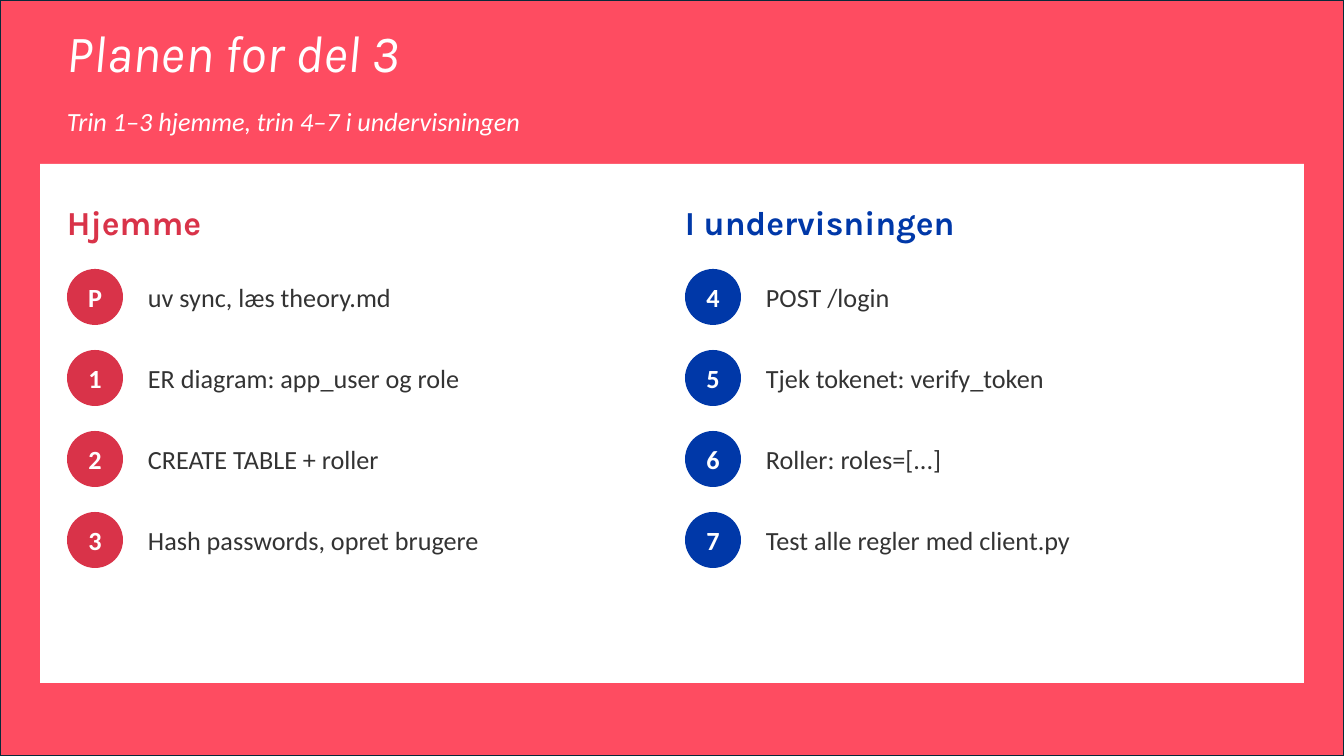
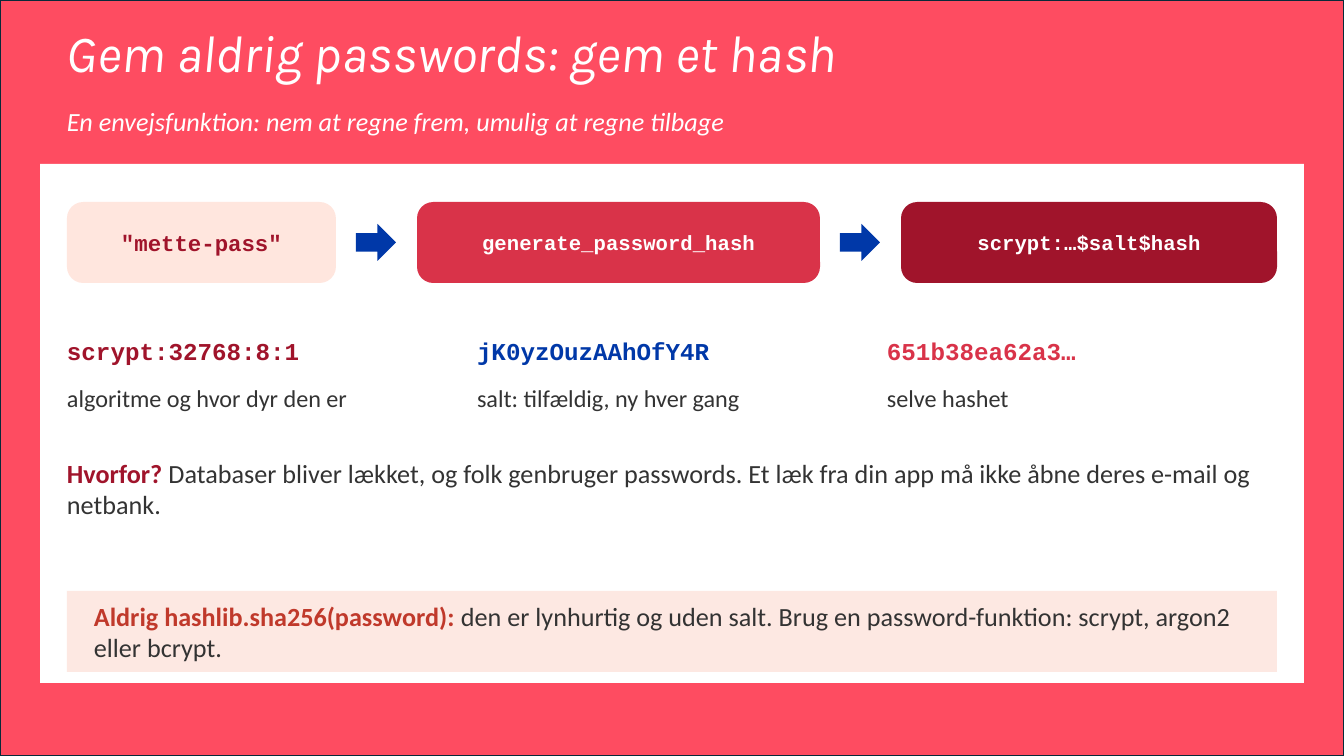
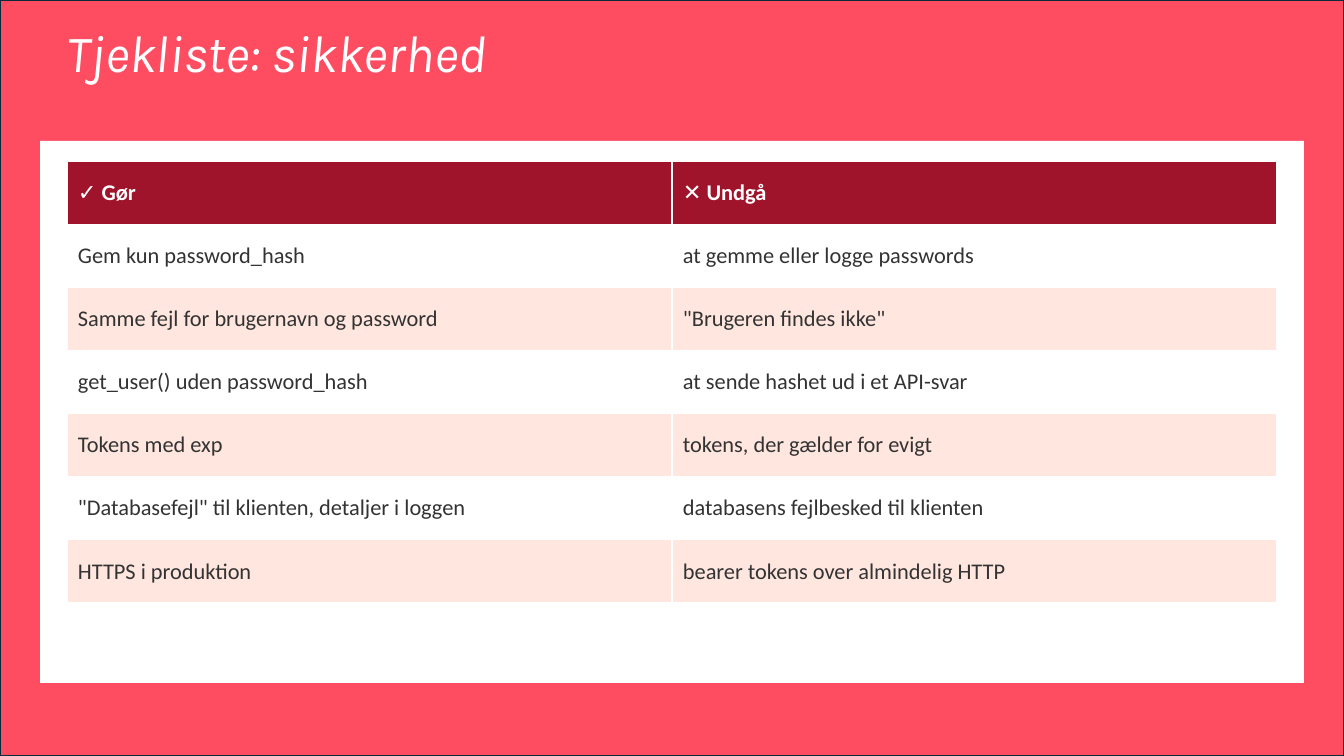
"""Build three slides on password security."""
from pptx import Presentation
from pptx.dml.color import RGBColor
from pptx.enum.shapes import MSO_SHAPE
from pptx.enum.text import MSO_ANCHOR, PP_ALIGN
from pptx.util import Pt

EMU = 12192000 / 1344
WIDE, HIGH = 1344, 756
LEFT, SPAN = 67, 1210
BASE = 683
HUES = {
    "back": "FE4C61", "edge": "092A39", "white": "FFFFFF", "ink": "333333",
    "red": "D93349", "blue": "0038A8", "dark": "A0142B", "pale": "FFE6DE",
    "note": "FDE8E2", "warn": "C0392B",
}
BODY, HEAD, CODE = "Calibri", "Karla", "Courier New"

PLAN = {
    "title": "Planen for del 3",
    "sub": "Trin 1–3 hjemme, trin 4–7 i undervisningen",
    "parts": [
        ("Hjemme", "red", [
            ("P", "uv sync, læs theory.md"),
            ("1", "ER diagram: app_user og role"),
            ("2", "CREATE TABLE + roller"),
            ("3", "Hash passwords, opret brugere"),
        ]),
        ("I undervisningen", "blue", [
            ("4", "POST /login"),
            ("5", "Tjek tokenet: verify_token"),
            ("6", "Roller: roles=[...]"),
            ("7", "Test alle regler med client.py"),
        ]),
    ],
}
HASH = {
    "title": "Gem aldrig passwords: gem et hash",
    "sub": "En envejsfunktion: nem at regne frem, umulig at regne tilbage",
    "flow": [
        ('"mette-pass"', 269, "pale", "dark", 16),
        ("generate_password_hash", 403, "red", "white", 14.7),
        ("scrypt:…$salt$hash", 376, "dark", "white", 14.7),
    ],
    "terms": [
        ("scrypt:32768:8:1", "dark", "algoritme og hvor dyr den er"),
        ("jK0yzOuzAAhOfY4R", "blue", "salt: tilfældig, ny hver gang"),
        ("651b38ea62a3…", "red", "selve hashet"),
    ],
    "why": [
        ("Hvorfor? ", "dark", True),
        ("Databaser bliver lækket, og folk genbruger passwords. Et læk fra din "
         "app må ikke åbne deres e-mail og netbank.", "ink", False),
    ],
    "note": [
        ("Aldrig hashlib.sha256(password): ", "warn", True),
        ("den er lynhurtig og uden salt. Brug en password-funktion: scrypt, "
         "argon2 eller bcrypt.", "ink", False),
    ],
}
LIST = {
    "title": "Tjekliste: sikkerhed",
    "rows": [
        ("✓ Gør", "✕ Undgå"),
        ("Gem kun password_hash", "at gemme eller logge passwords"),
        ("Samme fejl for brugernavn og password", '"Brugeren findes ikke"'),
        ("get_user() uden password_hash", "at sende hashet ud i et API-svar"),
        ("Tokens med exp", "tokens, der gælder for evigt"),
        ('"Databasefejl" til klienten, detaljer i loggen',
         "databasens fejlbesked til klienten"),
        ("HTTPS i produktion", "bearer tokens over almindelig HTTP"),
    ],
}


def px(*nums):
    return [round(n * EMU) for n in nums]


def hue(name):
    return RGBColor.from_string(HUES[name])


def text(frame, runs, size=18.7, font=BODY, color="ink", bold=False,
         slant=False, mid=False, center=False, pad=0, space=None):
    if isinstance(runs, str):
        runs = [(runs, color, bold)]
    frame.word_wrap = True
    frame.margin_left, frame.margin_right = px(pad, pad)
    frame.margin_top = frame.margin_bottom = 0
    frame.vertical_anchor = MSO_ANCHOR.MIDDLE if mid else MSO_ANCHOR.TOP
    para = frame.paragraphs[0]
    para.alignment = PP_ALIGN.CENTER if center else PP_ALIGN.LEFT
    para.line_spacing = space
    for words, tone, heavy in runs:
        run = para.add_run()
        run.text = words
        face = run.font
        face.name, face.size = font, Pt(size)
        face.bold, face.italic = heavy, slant
        face.color.rgb = hue(tone)


def label(slide, at, runs, **form):
    text(slide.shapes.add_textbox(*px(*at)).text_frame, runs, **form)


def block(slide, kind, at, fill):
    shape = slide.shapes.add_shape(kind, *px(*at))
    shape.shadow.inherit = False
    shape.fill.solid()
    shape.fill.fore_color.rgb = hue(fill)
    shape.line.fill.background()
    return shape


def page(deck, data, top):
    slide = deck.slides.add_slide(deck.slide_layouts[6])
    back = block(slide, MSO_SHAPE.RECTANGLE, (0, 0, WIDE, HIGH), "back")
    back.line.color.rgb = hue("edge")
    back.line.width = Pt(1.5)
    label(slide, (LEFT, 27, SPAN, 74), data["title"], size=37.3, font=HEAD,
          color="white", slant=True, space=0.9)
    block(slide, MSO_SHAPE.RECTANGLE, (40, top, WIDE - 80, BASE - top), "white")
    if "sub" in data:
        label(slide, (LEFT, 105, SPAN, 47), data["sub"], color="white", slant=True)
    return slide


def plan(deck):
    slide = page(deck, PLAN, 164)
    for col, (head, tone, steps) in enumerate(PLAN["parts"]):
        x = LEFT + col * 618
        label(slide, (x, 202, 578, 53), head, size=24, font=HEAD,
              color=tone, bold=True)
        for row, (mark, words) in enumerate(steps):
            y = 269 + row * 81
            dot = block(slide, MSO_SHAPE.OVAL, (x, y, 56, 56), tone)
            text(dot.text_frame, mark, color="white", bold=True,
                 mid=True, center=True)
            label(slide, (x + 81, y, 511, 56), words, mid=True)


def hashing(deck):
    slide = page(deck, HASH, 164)
    x, y, gap, tall = LEFT, 202, 81, 81
    for step, (words, wide, fill, tone, size) in enumerate(HASH["flow"]):
        if step:
            block(slide, MSO_SHAPE.RIGHT_ARROW,
                  (x - gap + 20, y + (tall - 37) / 2, 40, 37), "blue")
        box = block(slide, MSO_SHAPE.ROUNDED_RECTANGLE, (x, y, wide, tall), fill)
        box.adjustments[0] = 0.2
        text(box.text_frame, words, size=size, font=CODE, color=tone,
             bold=True, mid=True, center=True)
        x += wide + gap
    for col, (code, tone, words) in enumerate(HASH["terms"]):
        x = LEFT + col * 410
        label(slide, (x, 336, 383, 47), code, size=17.3, font=CODE,
              color=tone, bold=True)
        label(slide, (x, 383, 383, 47), words, size=17.3)
    label(slide, (LEFT, 457, SPAN, 121), HASH["why"])
    note = block(slide, MSO_SHAPE.RECTANGLE, (LEFT, 591, SPAN, 81), "note")
    text(note.text_frame, HASH["note"], mid=True, pad=27)


def check(deck):
    slide = page(deck, LIST, 141)
    rows = LIST["rows"]
    grid = slide.shapes.add_table(
        len(rows), len(rows[0]), *px(LEFT, 161, SPAN, 442)).table
    for r, row in enumerate(rows):
        fill = "pale" if r % 2 == 0 else "white"
        for c, words in enumerate(row):
            cell = grid.cell(r, c)
            cell.fill.solid()
            cell.fill.fore_color.rgb = hue(fill if r else "dark")
            text(cell.text_frame, words, size=16, bold=not r,
                 color="ink" if r else "white")
            cell.vertical_anchor = MSO_ANCHOR.MIDDLE
            cell.margin_left, cell.margin_right = px(11, 11)
            cell.margin_top, cell.margin_bottom = px(4, 4)


def main():
    deck = Presentation()
    deck.slide_width, deck.slide_height = px(WIDE, HIGH)
    for build in (plan, hashing, check):
        build(deck)
    deck.save("out.pptx")


if __name__ == "__main__":
    main()
